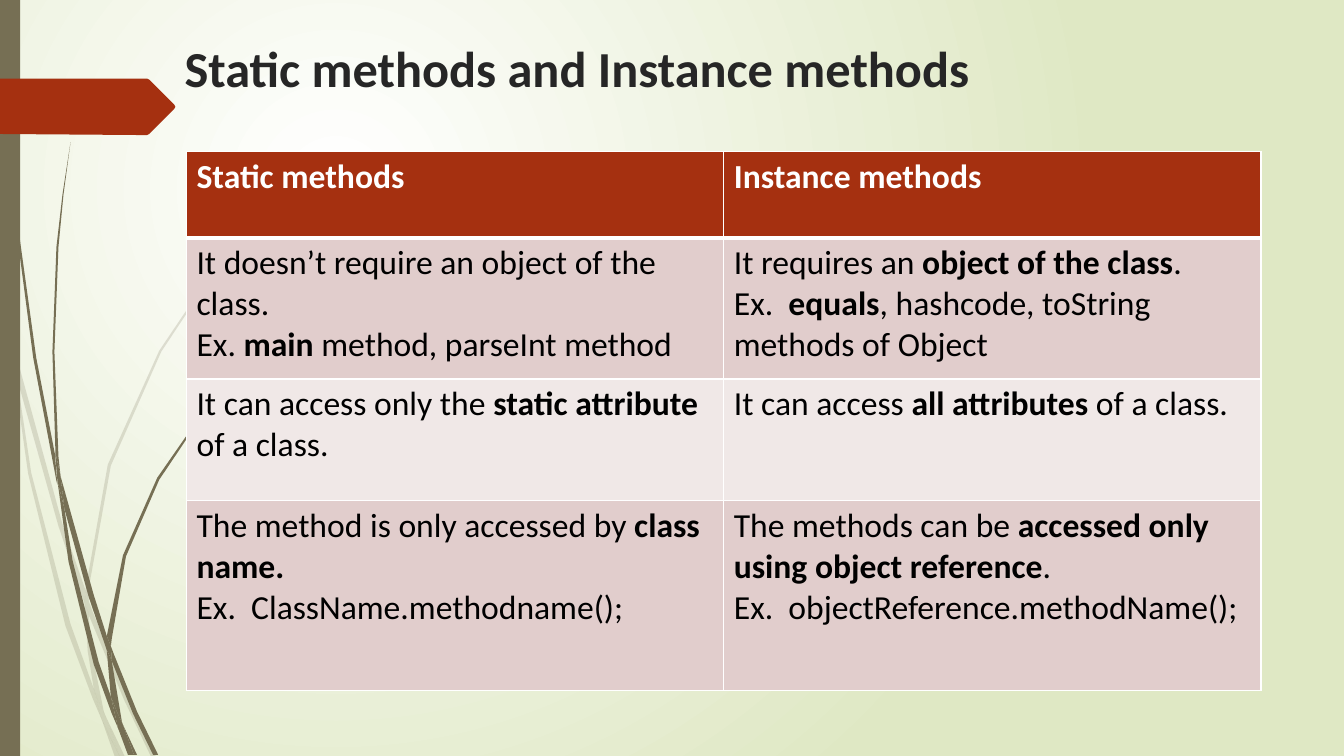
from lxml import etree
from pptx import Presentation
from pptx.dml.color import RGBColor
from pptx.enum.shapes import MSO_SHAPE
from pptx.enum.text import MSO_ANCHOR, PP_ALIGN
from pptx.oxml.ns import qn
from pptx.util import Pt

FONT = "Calibri"
OLIVE, RUST = "766F54", "A53010"
HEADER_FILL, BAND_FILLS = RUST, ("E1CDCC", "F0E8E7")

# Outlines as x,y corners in hundredths of an inch
UNIT = Pt(0.72)
PALE_GRASS = (
    "11,350 9,322 0,282 0,299 10,344",
    "58,522 84,599 85,586 62,520 14,345 17,376",
    "92,607 88,596 88,610 123,694 150,751 155,751 127,692",
    "119,751 124,751 105,711",
    "93,683 70,619 31,469 17,376 11,350 28,470 65,621 92,693 101,714 99,707",
    "84,599 87,646 93,683 96,692 105,711 103,706 91,646 88,610 88,608",
    "88,584 110,462 160,349 229,245 268,198 290,175 312,154 312,153 289,175 "
    "268,197 228,244 158,348 107,461 85,584 85,586 88,596",
    "101,714 114,751 119,751",
    "88,608 88,610 88,596 85,586 84,599",
    "96,692 93,683 99,707 101,714 119,751 105,711",
)
DARK_GRASS = (
    "7,110 17,233 33,355 56,477 57,481 55,457 55,453 36,355 19,232 8,109 5,48 4,0 3,0 4,48",
    "88,592 106,645 106,633 106,631 93,590 60,472 64,505",
    "113,649 110,641 111,656 132,708 152,749 157,749 136,706",
    "110,691 98,657 72,556 64,505 57,477 68,557 93,659 111,708 117,722 116,717",
    "60,472 58,453 54,349 58,245 63,193 70,141 62,193 56,245 52,349 55,449",
    "133,749 136,749 122,719",
    "57,477 64,505 60,472 55,449 55,453",
    "111,633 125,552 158,476 205,406 231,374 245,359 261,344 260,344 245,358 "
    "231,373 204,405 156,474 122,551 106,631 110,641",
    "117,722 127,749 131,749",
    "106,645 110,691 116,706 122,719 121,716 111,656 109,651",
    "106,645 109,651 111,656 110,641 106,631 106,633",
    "116,706 110,691 116,717 117,722 130,749 133,749 122,719",
)
BANNER = "173,108 148,133 146,134 136,134 0,133 0,78 146,78 148,79 173,104 174,106"

# Paragraphs are split by line breaks, bold words stand between asterisks
COMPARISON = (
    ("*Static methods*", "*Instance methods*"),
    ("It doesn’t require an object of the class.\nEx. *main* method, parseInt method",
     "It requires an *object of the class*.\n"
     "Ex.  *equals*, hashcode, toString methods of Object"),
    ("It can access only the *static attribute *of a class.",
     "It can access *all attributes *of a class."),
    ("The method is only accessed by *class name.*\nEx.  ClassName.methodname();",
     "The methods can be *accessed only using object reference*.\n"
     "Ex.  objectReference.methodName();"),
)
ROW_HEIGHTS = (61.9, 100.8, 87.1, 135.2)
COLUMN_WIDTH = 383.8


def rgb(color):
    return RGBColor.from_string(color)


def paint(shape, color, opacity=100):
    shape.shadow.inherit = False
    shape.fill.solid()
    shape.fill.fore_color.rgb = rgb(color)
    shape.line.fill.background()
    if opacity < 100:
        tint = shape.element.spPr.find(".//" + qn("a:srgbClr"))
        etree.SubElement(tint, qn("a:alpha"), val=str(opacity * 1000))


def style_run(run, size, color, bold):
    run.font.name = FONT
    run.font.size = Pt(size)
    run.font.bold = bold
    run.font.color.rgb = rgb(color)


def set_background(slide):
    fill = slide.background.fill
    fill.gradient()
    for stop, color, position in zip(fill.gradient_stops, ("FFFFFF", "DFE8C4"), (0, 1)):
        stop.color.rgb = rgb(color)
        stop.position = position
    # Radial spread instead of the linear default
    gradient = slide.element.find(".//" + qn("a:gradFill"))
    gradient.remove(gradient.find(qn("a:lin")))
    spread = etree.Element(qn("a:path"), path="circle")
    etree.SubElement(spread, qn("a:fillToRect"), l="50000", t="50000", r="100000", b="100000")
    gradient.find(qn("a:gsLst")).addnext(spread)


def add_outline(slide, outline, color, opacity=100):
    corners = [tuple(map(int, corner.split(","))) for corner in outline.split()]
    builder = slide.shapes.build_freeform(*corners[0], scale=UNIT)
    builder.add_line_segments(corners[1:], close=True)
    paint(builder.convert_to_shape(), color, opacity)


def set_title(slide, text):
    title = slide.shapes.title
    title.left, title.top, title.width, title.height = Pt(124.6), Pt(23), Pt(828), Pt(64)
    frame = title.text_frame
    frame.text = text
    frame.word_wrap = True
    frame.vertical_anchor = MSO_ANCHOR.TOP
    frame.paragraphs[0].alignment = PP_ALIGN.LEFT
    style_run(frame.paragraphs[0].runs[0], 36, "262626", True)


def write_cell(cell, text, fill, color):
    cell.fill.solid()
    cell.fill.fore_color.rgb = rgb(fill)
    frame = cell.text_frame
    frame.text = text
    for paragraph in frame.paragraphs:
        pieces = paragraph.text.split("*")
        paragraph.text = ""
        for index, piece in enumerate(pieces):
            if piece:
                run = paragraph.add_run()
                run.text = piece
                style_run(run, 24, color, index % 2 == 1)


def add_borders(tc, widths):
    properties = tc.find(qn("a:tcPr"))
    for index, (side, width) in enumerate(widths.items()):
        border = etree.Element(qn(f"a:ln{side}"), w=str(Pt(width)))
        solid = etree.SubElement(border, qn("a:solidFill"))
        etree.SubElement(solid, qn("a:srgbClr"), val="FFFFFF")
        properties.insert(index, border)


def add_comparison(slide):
    row_count, column_count = len(COMPARISON), len(COMPARISON[0])
    frame = slide.shapes.add_table(row_count, column_count, Pt(133.2), Pt(108),
                                   Pt(COLUMN_WIDTH * column_count), Pt(sum(ROW_HEIGHTS)))
    table = frame.table
    for column in table.columns:
        column.width = Pt(COLUMN_WIDTH)
    for index, (row, height, texts) in enumerate(zip(table.rows, ROW_HEIGHTS, COMPARISON)):
        row.height = Pt(height)
        fill = BAND_FILLS[(index - 1) % 2] if index else HEADER_FILL
        for cell, text in zip(row.cells, texts):
            write_cell(cell, text, fill, "000000" if index else "FFFFFF")
    # A thicker rule separates the header from the body
    for index, tc in enumerate(frame.element.iter(qn("a:tc"))):
        row_index = index // column_count
        add_borders(tc, {"L": 1, "R": 1, "T": 3 if row_index == 1 else 1,
                         "B": 3 if row_index == 0 else 1})


def main():
    deck = Presentation()
    deck.slide_width, deck.slide_height = Pt(960), Pt(540)
    slide = deck.slides.add_slide(deck.slide_layouts[5])
    set_background(slide)

    # Grass, side bar and banner
    for blade in PALE_GRASS:
        add_outline(slide, blade, OLIVE, opacity=20)
    for blade in DARK_GRASS:
        add_outline(slide, blade, OLIVE)
    side_bar = slide.shapes.add_shape(MSO_SHAPE.RECTANGLE, 0, 0, Pt(14.4), Pt(540))
    paint(side_bar, OLIVE)
    add_outline(slide, BANNER, RUST)

    # Content
    set_title(slide, "Static methods and Instance methods")
    add_comparison(slide)
    deck.save("out.pptx")


if __name__ == "__main__":
    main()
